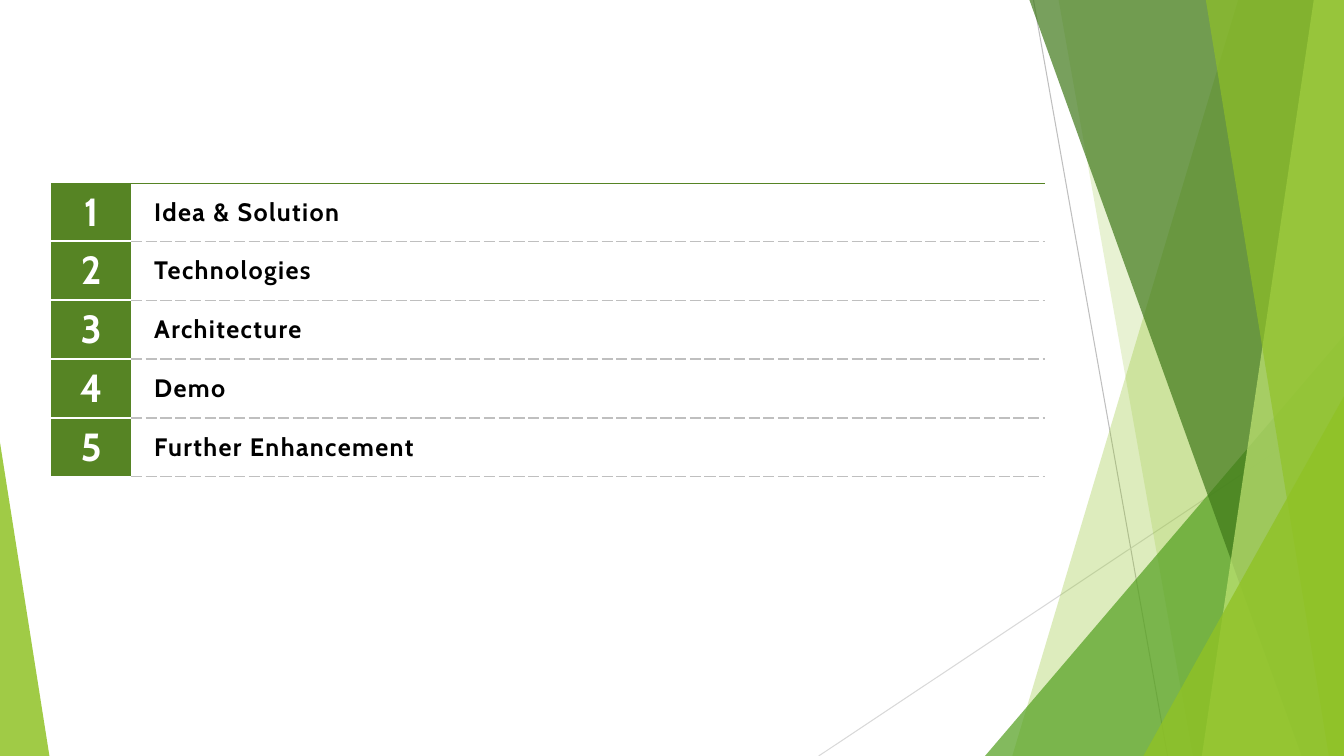
from lxml import etree
from pptx import Presentation
from pptx.dml.color import RGBColor
from pptx.enum.shapes import MSO_CONNECTOR, MSO_SHAPE
from pptx.enum.text import MSO_ANCHOR, PP_ALIGN
from pptx.oxml.ns import qn
from pptx.util import Inches, Pt

STRAIGHT = MSO_CONNECTOR.STRAIGHT
TRIANGLE = MSO_SHAPE.ISOSCELES_TRIANGLE
MIDDLE = MSO_ANCHOR.MIDDLE
CENTER = PP_ALIGN.CENTER

WIDTH, HEIGHT = 13.33, 7.5
FONT = "Cabin"
COLORS = {
    "white": "FFFFFF",
    "black": "000000",
    "number": "568424",
    "dash": "BFBFBF",
    "pale_line": "D9D9D9",
    "lime": "90C226",
    "green": "54A021",
    "dark": "3F7819",
    "light": "C0E474",
}
AGENDA = ["Idea & Solution", "Technologies", "Architecture", "Demo", "Further Enhancement"]


def rgb(name):
    return RGBColor.from_string(COLORS[name])


def paint(shape, color, opacity):
    """Fill a shape with a translucent colour, without outline or shadow."""
    shape.shadow.inherit = False
    shape.line.fill.background()
    shape.fill.solid()
    shape.fill.fore_color.rgb = rgb(color)
    color_element = shape._element.spPr.find(qn("a:solidFill"))[0]
    etree.SubElement(color_element, qn("a:alpha"), val=str(opacity * 1000))


def add_hairline(slide, start, end, color):
    line = slide.shapes.add_connector(STRAIGHT, *map(Inches, start + end))
    line.line.color.rgb = rgb(color)
    line.line.width = Pt(0.75)
    etree.SubElement(line._element.spPr, qn("a:effectLst"))


def add_pane(slide, right, height, top_x, bottom_x, color, opacity):
    """Add a full-height pane from a slanted left edge to the right side."""
    corners = [(top_x, 0), (right, 0), (right, height), (bottom_x, height)]
    points = [(Inches(x), Inches(y)) for x, y in corners]
    builder = slide.shapes.build_freeform(*points[0])
    builder.add_line_segments(points[1:], close=True)
    paint(builder.convert_to_shape(), color, opacity)


def add_corner(slide, left, width, height, bottom, apex, color, opacity):
    """Add a right triangle standing on the bottom edge."""
    triangle = slide.shapes.add_shape(
        TRIANGLE, Inches(left), Inches(bottom - height), Inches(width), Inches(height))
    triangle.adjustments[0] = apex
    paint(triangle, color, opacity)


def add_facets(slide, width, height):
    """Draw the overlapping green facets, from back to front."""
    add_hairline(slide, (10.25, 0), (11.58, height), "dash")
    add_hairline(slide, (width, 4.03), (8.12, height), "pale_line")
    add_pane(slide, width, height, 12.28, 10.04, "lime", 30)
    add_pane(slide, width, height, 10.5, 11.83, "lime", 20)
    add_corner(slide, width - 3.56, 3.56, 4.17, height, 1, "green", 72)
    add_pane(slide, width, height, 10.21, 12.91, "dark", 70)
    add_pane(slide, width, height, 13.03, 11.92, "light", 70)
    add_pane(slide, width, height, 11.96, 13.18, "lime", 65)
    add_corner(slide, width - 1.99, 1.99, 3.57, height, 1, "lime", 80)
    add_corner(slide, 0, 0.49, 3.11, height, 0, "lime", 85)


def set_borders(cell, top, bottom):
    """Set top and bottom borders as (colour, points, dash); clear the sides."""
    properties = cell._tc.get_or_add_tcPr()
    sides = {"a:lnL": None, "a:lnR": None, "a:lnT": top, "a:lnB": bottom}
    for position, (tag, border) in enumerate(sides.items()):
        line = etree.Element(qn(tag))
        properties.insert(position, line)
        if border is None:
            etree.SubElement(line, qn("a:noFill"))
            continue
        color, points, dash = border
        line.set("w", str(Pt(points)))
        fill = etree.SubElement(line, qn("a:solidFill"))
        etree.SubElement(fill, qn("a:srgbClr"), val=COLORS[color])
        etree.SubElement(line, qn("a:prstDash"), val=dash)


def write_cell(cell, text, size, color):
    cell.vertical_anchor = MIDDLE
    paragraph = cell.text_frame.paragraphs[0]
    run = paragraph.add_run()
    run.text = text
    run.font.name = FONT
    run.font.size = Pt(size)
    run.font.bold = True
    run.font.color.rgb = rgb(color)
    return paragraph, run


def add_agenda(slide, left, top, width, height):
    table = slide.shapes.add_table(
        len(AGENDA), 2, Inches(left), Inches(top), Inches(width), Inches(height)).table
    table.first_row = table.horz_banding = False
    number_width, first_height = 0.79, 0.56
    table.columns[0].width = Inches(number_width)
    table.columns[1].width = Inches(width - number_width)
    other_height = (height - first_height) / (len(AGENDA) - 1)

    rule = ("number", 1, "solid")
    gap = ("white", 1.5, "solid")
    dashed = ("dash", 1, "sysDash")
    for index, topic in enumerate(AGENDA):
        table.rows[index].height = Inches(other_height if index else first_height)
        number_cell, topic_cell = table.cell(index, 0), table.cell(index, 1)

        number_cell.fill.solid()
        number_cell.fill.fore_color.rgb = rgb("number")
        paragraph, _ = write_cell(number_cell, str(index + 1), 28, "white")
        paragraph.alignment = CENTER
        set_borders(number_cell, gap if index else rule, gap)

        topic_cell.fill.background()
        paragraph, run = write_cell(topic_cell, topic, 18, "black")
        paragraph._p.get_or_add_pPr().set("marL", str(Inches(0.13)))
        run._r.get_or_add_rPr().set("spc", "100")
        set_borders(topic_cell, dashed if index else rule, dashed)


def main():
    presentation = Presentation()
    presentation.slide_width = Inches(WIDTH)
    presentation.slide_height = Inches(HEIGHT)
    slide = presentation.slides.add_slide(presentation.slide_layouts[6])
    add_facets(slide, WIDTH, HEIGHT)
    add_agenda(slide, 0.51, 1.82, 9.86, 2.9)
    presentation.save("out.pptx")


if __name__ == "__main__":
    main()
